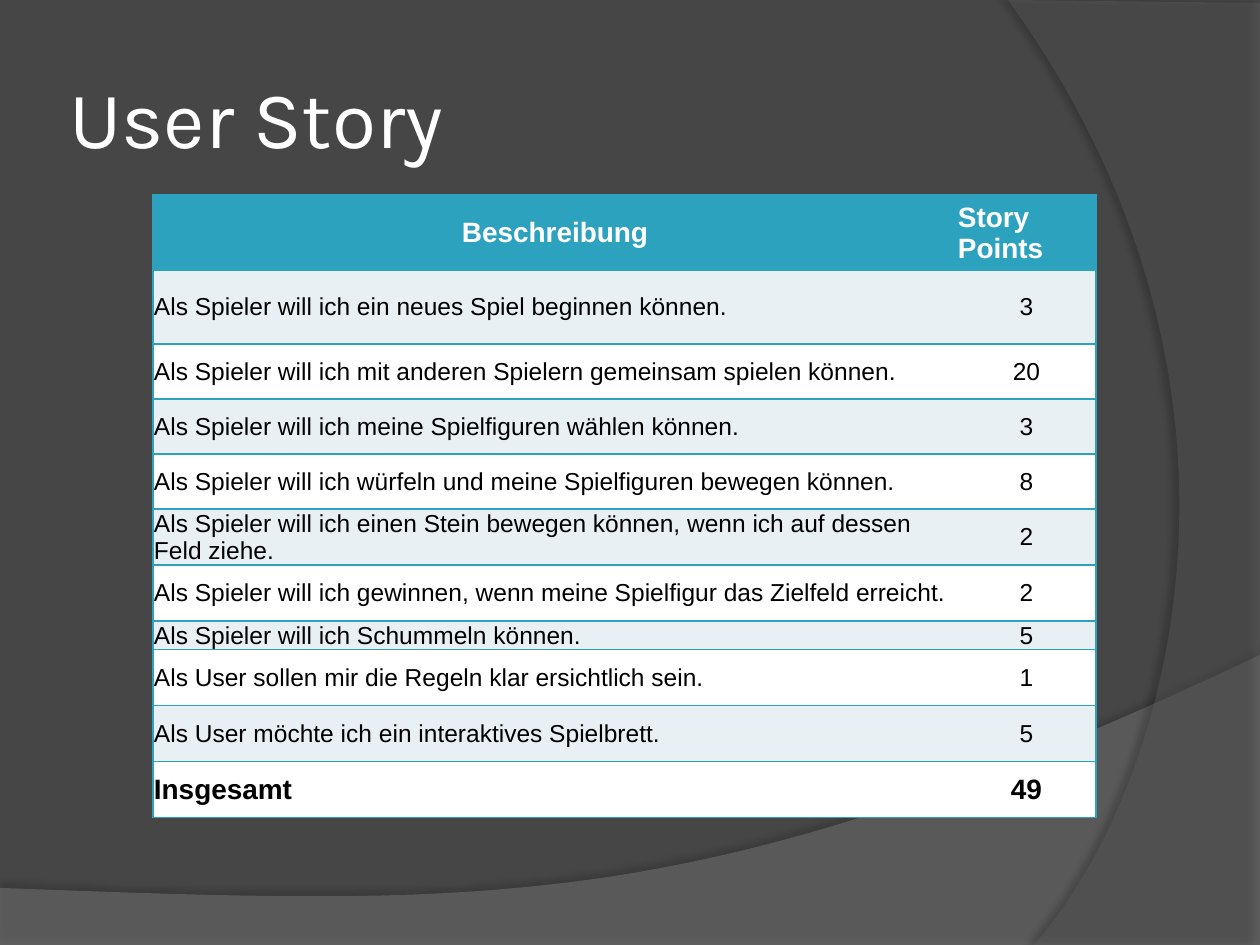
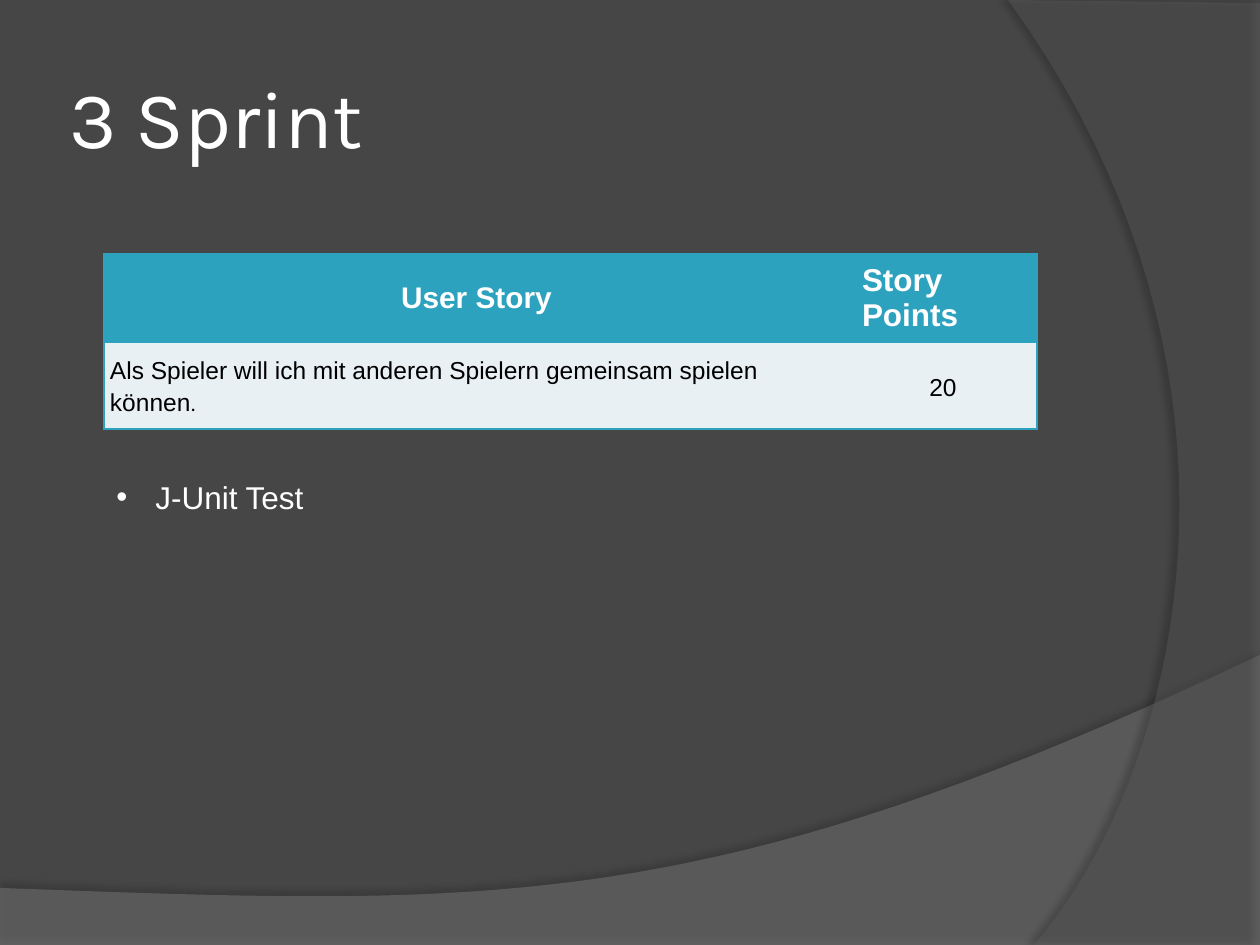
"""Build two project slides: the user story list and the third sprint."""
from lxml.etree import SubElement as Sub
from pptx import Presentation
from pptx.dml.color import RGBColor as RGB
from pptx.enum.text import MSO_ANCHOR as Anchor, MSO_AUTO_SIZE as Fit, PP_ALIGN as Align
from pptx.oxml.ns import qn
from pptx.util import Pt

HUES = {"ground": "464646", "wave": "7F7F7F", "arc": "5E5E5E", "teal": "2DA2BF",
        "pale": "E8F0F4", "white": "FFFFFF", "black": "000000"}
UNIT = 914400 / 126
THIN, WIDE, LOOSE = (1, 1, 1, 0), (6, 0, 6, 0), (13, 6, 13, 6)


def px(num):
    return round(num * UNIT)


def curve(start, one, two, end, steps=40):
    spots = []
    for step in range(1, steps + 1):
        t = step / steps
        parts = ((1 - t) ** 3, 3 * t * (1 - t) ** 2, 3 * t * t * (1 - t), t ** 3)
        spots.append(tuple(sum(k * p[axis] for k, p in zip(parts, (start, one, two, end)))
                           for axis in (0, 1)))
    return spots


class Deck:
    def __init__(self):
        self.prs = Presentation()
        self.prs.slide_width, self.prs.slide_height = px(1260), px(945)
        self.root = self.prs.slide_master
        self.paint(self.root.background.fill, "ground")
        self.slide = None

    def paint(self, fill, hue):
        fill.solid()
        fill.fore_color.rgb = RGB.from_string(HUES[hue])

    def page(self, text):
        self.slide = self.prs.slides.add_slide(self.prs.slide_layouts[5])
        title = self.slide.shapes.title
        self.place(title, 63, 38, 1029, 157)
        frame = title.text_frame
        frame.auto_size = Fit.NONE
        frame.vertical_anchor = Anchor.MIDDLE
        self.inset(frame, (6, 6, 6, 6))
        para = frame.paragraphs[0]
        para.alignment = Align.LEFT
        self.run(para, text, 46, "white", font="Karla")

    def place(self, shape, left, top, width, height):
        shape.left, shape.top = px(left), px(top)
        shape.width, shape.height = px(width), px(height)

    def inset(self, box, sides):
        box.margin_left, box.margin_top, box.margin_right, box.margin_bottom = map(px, sides)

    def run(self, para, text, size, hue, bold=False, font="Arial"):
        run = para.add_run()
        run.text = text
        run.font.name, run.font.size, run.font.bold = font, Pt(size), bold
        run.font.color.rgb = RGB.from_string(HUES[hue])

    def tint(self, node, hue, alpha):
        color = Sub(node, qn("a:srgbClr"), val=HUES[hue])
        Sub(color, qn("a:alpha"), val=str(alpha * 1000))

    def band(self, spots, hue, alpha, shade, dist, angle, order):
        """Draw a see-through band and move it to the slide master."""
        (left, top), *rest = [(px(x), px(y)) for x, y in spots]
        form = self.slide.shapes.build_freeform(left, top, 1.0)
        form.add_line_segments(rest, close=True)
        shape = form.convert_to_shape()
        self.paint(shape.fill, hue)
        shape.line.fill.background()
        color = shape.element.spPr.find(qn("a:solidFill"))[0]
        Sub(color, qn("a:alpha"), val=str(alpha * 1000))
        effects = Sub(shape.element.spPr, qn("a:effectLst"))
        cast = Sub(effects, qn("a:outerShdw"), blurRad=str(Pt(4)), dist=str(Pt(dist)),
                   dir=str(angle * 60000), algn="ctr", rotWithShape="0")
        self.tint(cast, "black", shade)
        shape.element.nvSpPr.cNvPr.set("id", str(20 + order))
        self.root.shapes.element.insert(2 + order, shape.element)

    def table(self, left, top, cols, rows):
        frame = self.slide.shapes.add_table(len(rows), len(cols), px(left), px(top),
                                            px(sum(cols)), px(sum(rows)))
        grid = frame.table
        for col, width in zip(grid.columns, cols):
            col.width = px(width)
        for row, height in zip(grid.rows, rows):
            row.height = px(height)
        return grid

    def cell(self, grid, row, col, runs, sides=THIN, mid=False, airy=False):
        cell = grid.cell(row, col)
        cell.vertical_anchor = Anchor.MIDDLE
        self.inset(cell, sides)
        para = cell.text_frame.paragraphs[0]
        para.alignment = Align.CENTER if mid else Align.LEFT
        if airy:
            para.line_spacing, para.space_before = 1.15, Pt(10)
        for part in runs:
            self.run(para, *part)
        self.edge(cell, "L" if col == 0 else "R")
        self.paint(cell.fill, "teal" if row == 0 else "pale" if row % 2 else "white")

    def edge(self, cell, outer):
        props = cell._tc.get_or_add_tcPr()
        for side in "LRTB":
            line = Sub(props, qn("a:ln" + side), w=str(Pt(1)))
            if side in outer + "TB":
                fill = Sub(line, qn("a:solidFill"))
                Sub(fill, qn("a:srgbClr"), val=HUES["teal"])
            else:
                Sub(line, qn("a:noFill"))

    def bullet(self, text, left, top, width, height):
        box = self.slide.shapes.add_textbox(px(left), px(top), px(width), px(height))
        box.text_frame.word_wrap = True
        para = box.text_frame.paragraphs[0]
        props = para._p.get_or_add_pPr()
        props.set("marL", str(px(39)))
        props.set("indent", str(px(-39)))
        Sub(props, qn("a:buFont"), typeface="Arial")
        Sub(props, qn("a:buChar"), char="•")
        self.run(para, text, 18, "white")


STORIES = [
    ("Als Spieler will ich ein neues Spiel beginnen können.", 3),
    ("Als Spieler will ich mit anderen Spielern gemeinsam spielen können.", 20),
    ("Als Spieler will ich meine Spielfiguren wählen können.", 3),
    ("Als Spieler will ich würfeln und meine Spielfiguren bewegen können.", 8),
    ("Als Spieler will ich einen Stein bewegen können, wenn ich auf dessen Feld ziehe.", 2),
    ("Als Spieler will ich gewinnen, wenn meine Spielfigur das Zielfeld erreicht.", 2),
    ("Als Spieler will ich Schummeln können.", 5),
    ("Als User sollen mir die Regeln klar ersichtlich sein.", 1),
    ("Als User möchte ich ein interaktives Spielbrett.", 5),
]

deck = Deck()
deck.page("User Story")
wave = [(0, 888), (0, 946), (1260, 946), (1260, 655)]
arc = [(1260, 3), (1260, 945), (1034, 945)]
deck.band(wave + curve(wave[-1], (704, 919), (493, 906), (0, 888)), "wave", 45, 35, 3.5, 270, 0)
deck.band(arc + curve(arc[-1], (1178, 780), (1283, 378), (1008, 0)), "arc", 40, 45, 4, 180, 1)

heights = [75, 74] + [55] * 3 + [56] * 2 + [28] + [56] * 3
grid = deck.table(153, 195, [804, 139], heights)
deck.cell(grid, 0, 0, [("Beschreibung", 16, "white", True)], mid=True)
deck.cell(grid, 0, 1, [("Story Points", 16, "white", True)])
total = ("Insgesamt", sum(points for _, points in STORIES))
for row, (story, points) in enumerate(STORIES + [total], 1):
    last = row > len(STORIES)
    style = (16 if last else 14, "black", last)
    deck.cell(grid, row, 0, [(story, *style)])
    deck.cell(grid, row, 1, [(str(points), *style)], mid=True)

deck.page("3 Sprint")
grid = deck.table(104, 254, [745, 188], [88, 87])
deck.cell(grid, 0, 0, [("User Story", 17, "white", True)], mid=True)
deck.cell(grid, 0, 1, [("Story Points", 18, "white", True)], LOOSE)
story, points = STORIES[1]
deck.cell(grid, 1, 0, [(story[:-1], 14, "black"), (".", 12, "black", False, "Calibri")],
          WIDE, airy=True)
deck.cell(grid, 1, 1, [(str(points), 14, "black")], WIDE, mid=True, airy=True)
deck.bullet("J-Unit Test", 104, 472, 932, 89)

deck.prs.save("out.pptx")
